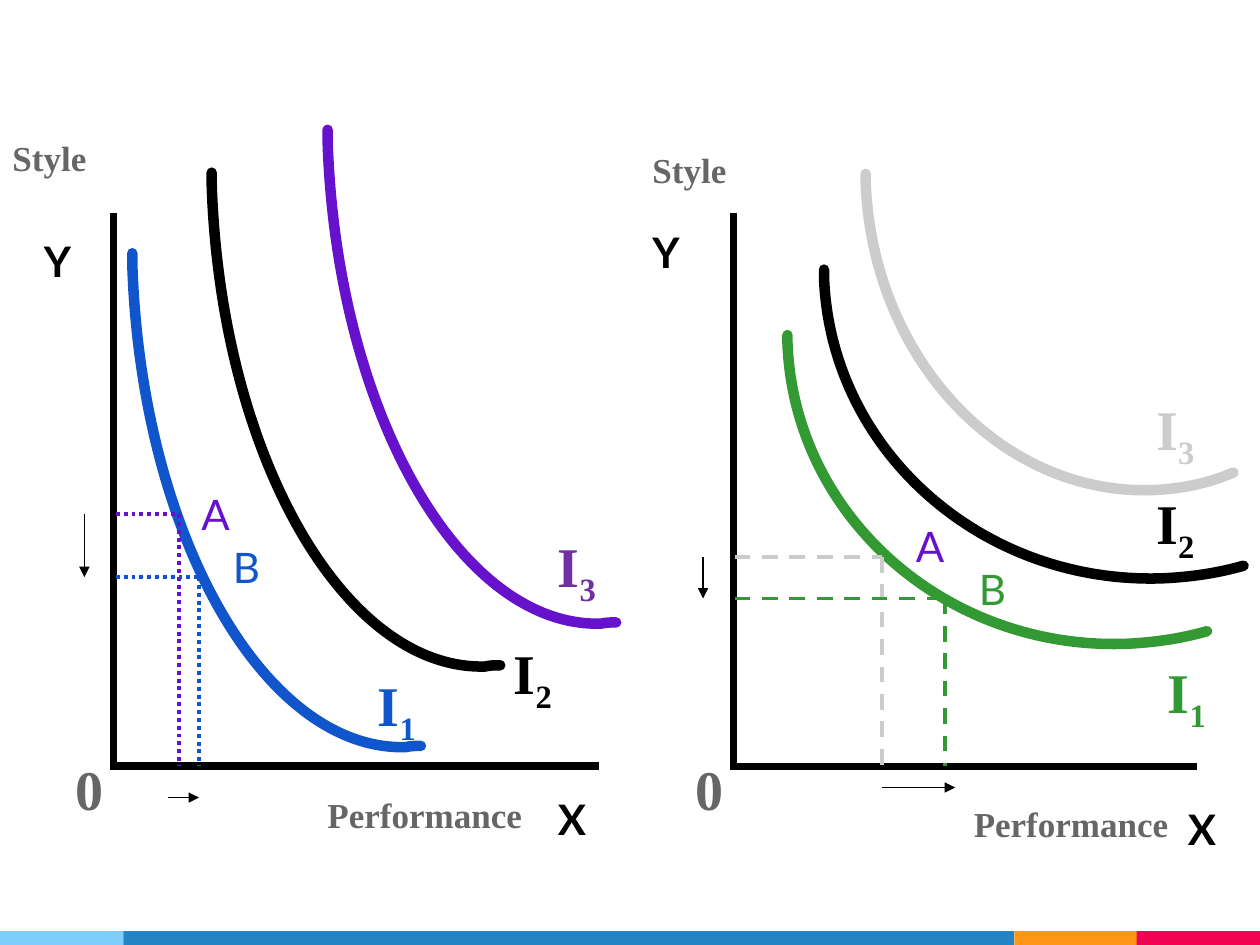
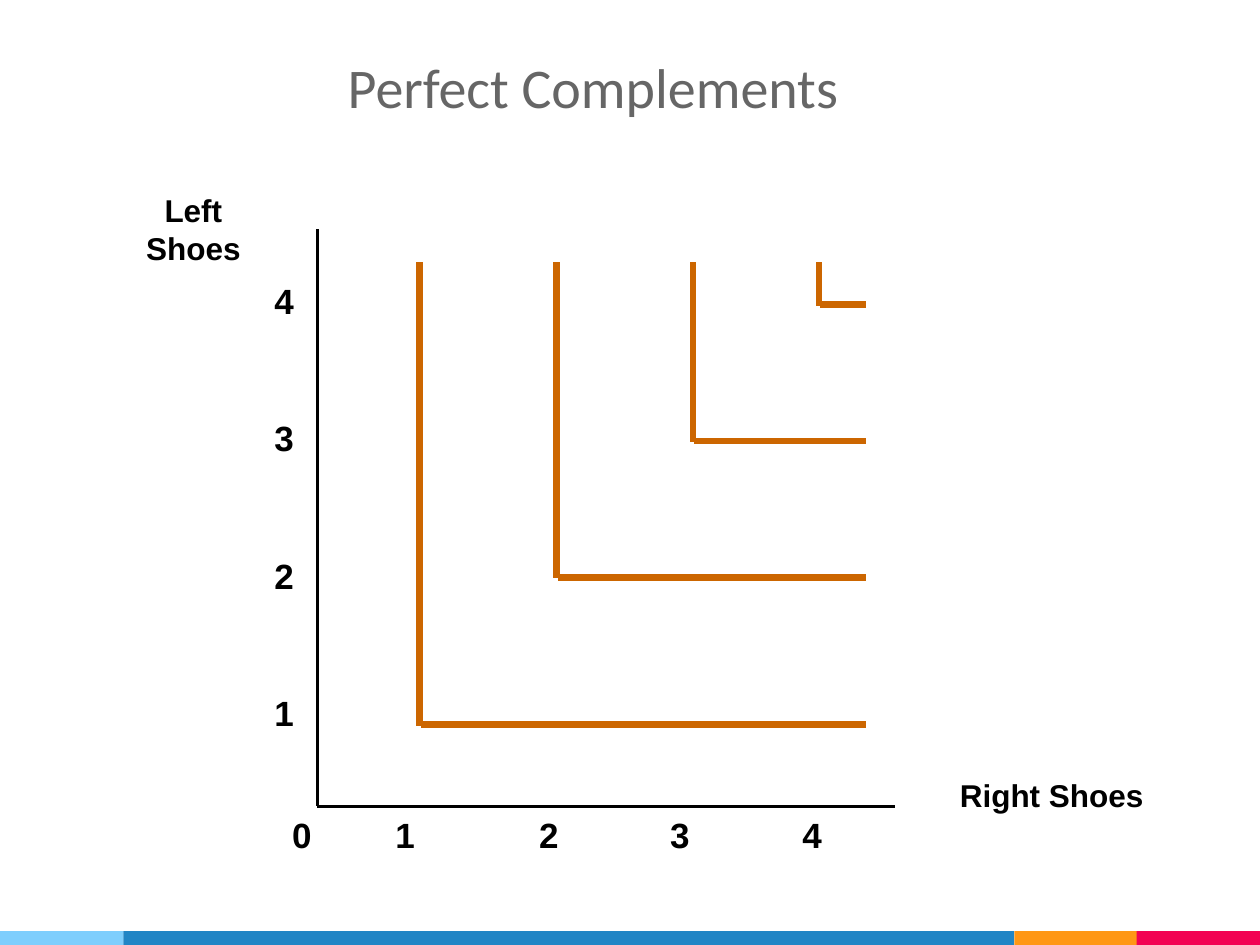
from lxml.etree import SubElement
from pptx import Presentation
from pptx.dml.color import RGBColor
from pptx.enum.dml import MSO_LINE_DASH_STYLE as Dash
from pptx.enum.shapes import MSO_CONNECTOR as Connector, MSO_SHAPE as Shape
from pptx.enum.text import MSO_ANCHOR as Anchor, MSO_AUTO_SIZE as AutoSize, PP_ALIGN as Align
from pptx.oxml.ns import qn
from pptx.util import Inches, Pt

COLORS = {
    "black": "000000", "gray": "666666", "silver": "CCCCCC",
    "blue": "1155CC", "purple": "6611CC", "violet": "7030A0",
    "green": "339933", "brown": "CC6600",
    "band_sky": "7ECEFD", "band_blue": "2185C5",
    "band_orange": "FF9715", "band_red": "F20253",
}
RGB = {name: RGBColor.from_string(value) for name, value in COLORS.items()}
SERIF = "Times New Roman"


def add_text(slide, text, left, top, width, height, size=24, color="black", font="Lato",
             bold=True, subscript="", anchor=Anchor.TOP, align=Align.LEFT, wrap=True, box=None):
    box = box or slide.shapes.add_textbox(0, 0, 0, 0)
    box.left, box.top, box.width, box.height = map(Inches, (left, top, width, height))
    frame = box.text_frame
    frame.word_wrap = wrap
    frame.auto_size = AutoSize.NONE
    frame.vertical_anchor = anchor
    frame.text = text
    if subscript:
        run = frame.paragraphs[0].add_run()
        run.text = subscript
        run._r.get_or_add_rPr().set("baseline", "-25000")
    for paragraph in frame.paragraphs:
        paragraph.alignment = align
        for run in paragraph.runs:
            run.font.name = font
            run.font.size = Pt(size)
            run.font.bold = bold
            run.font.color.rgb = RGB[color]


def add_line(shapes, start, end, color="black", width=4, dash=None, arrow=False):
    line = shapes.add_connector(Connector.STRAIGHT, *map(Inches, (*start, *end)))
    line.line.color.rgb = RGB[color]
    line.line.width = Pt(width)
    if dash:
        line.line.dash_style = dash
    if arrow:
        SubElement(line.element.find(".//" + qn("a:ln")), qn("a:tailEnd"), type="triangle")
    SubElement(line.element.spPr, qn("a:effectLst"))


presentation = Presentation()
presentation.slide_width = Inches(10)
presentation.slide_height = Inches(7.5)
curves_slide = presentation.slides.add_slide(presentation.slide_layouts[6])
shoes_slide = presentation.slides.add_slide(presentation.slide_layouts[5])

master_tree = presentation.slide_master.element.find(".//" + qn("p:spTree"))
bands = [("band_sky", 0, 0.98), ("band_blue", 0.98, 7.07),
         ("band_orange", 8.05, 0.98), ("band_red", 9.02, 0.98)]
for number, (color, left, width) in enumerate(bands, 101):
    band = curves_slide.shapes.add_shape(
        Shape.RECTANGLE, Inches(left), Inches(7.39), Inches(width), Inches(0.11))
    band.shadow.inherit = False
    band.fill.solid()
    band.fill.fore_color.rgb = RGB[color]
    band.line.fill.background()
    band.element.find(".//" + qn("p:cNvPr")).set("id", str(number))
    master_tree.append(band.element)

steep_curve = [(3.34, 5.92), (3.3, 5.92), (3.26, 5.92), (3.22, 5.93), (2.1, 5.96),
               (1.12, 4.25), (1.05, 2.1), (1.05, 2.07), (1.05, 2.04), (1.05, 2.01)]
flat_curve = [(9.58, 5.01), (9.37, 5.07), (9.16, 5.1), (8.94, 5.11), (7.5, 5.16),
              (6.3, 4.09), (6.25, 2.72), (6.25, 2.7), (6.25, 2.68), (6.25, 2.66)]
upper_curve = [(9.79, 3.75), (9.58, 3.84), (9.37, 3.88), (9.15, 3.89), (7.94, 3.93),
               (6.92, 2.84), (6.87, 1.44), (6.87, 1.42), (6.87, 1.4), (6.87, 1.38)]
curves = [
    (steep_curve, 0, 0, "blue"), (steep_curve, 0.63, -0.64, "black"),
    (steep_curve, 1.55, -0.98, "purple"),
    (flat_curve, 0, 0, "green"), (flat_curve, 0.29, -0.52, "black"),
    (upper_curve, 0, 0, "silver"),
]
for points, shift_x, shift_y, color in curves:
    placed = [(Inches(x + shift_x), Inches(y + shift_y)) for x, y in points]
    builder = curves_slide.shapes.build_freeform(*placed[0])
    builder.add_line_segments(placed[1:], close=False)
    curve = builder.convert_to_shape()
    curve.shadow.inherit = False
    curve.fill.background()
    curve.line.color.rgb = RGB[color]
    curve.line.width = Pt(6)
    curve.element.find(".//" + qn("a:ln")).set("cap", "rnd")
    path = curve.element.find(".//" + qn("a:path"))
    segments = path.findall(qn("a:lnTo"))
    for first in range(0, len(segments), 3):
        bezier = SubElement(path, qn("a:cubicBezTo"))
        for segment in segments[first:first + 3]:
            bezier.append(segment[0])
            path.remove(segment)

base_y = 6.08
for axis_x, right, width in [(0.9, 4.75, 4.5), (5.82, 9.5, 4)]:
    add_line(curves_slide.shapes, (axis_x, 1.69), (axis_x, 6.11))
    add_line(curves_slide.shapes, (axis_x + 0.02, base_y), (right, base_y), width=width)
    add_text(curves_slide, "0", axis_x - 0.4, 6, 0.33, 0.57, size=32, color="gray",
             font=SERIF, anchor=Anchor.BOTTOM)

guides = [
    (0.92, 1.42, 4.08, "purple", Dash.ROUND_DOT), (0.92, 1.58, 4.58, "blue", Dash.ROUND_DOT),
    (5.83, 7, 4.42, "silver", Dash.DASH), (5.83, 7.5, 4.75, "green", Dash.DASH),
]
for axis_x, x, y, color, dash in guides:
    add_line(curves_slide.shapes, (axis_x, y), (x, y), color, 2.25, dash)
    add_line(curves_slide.shapes, (x, y), (x, base_y), color, 2.25, dash)

arrows = [((0.67, 4.08), (0.67, 4.58)), ((1.33, 6.33), (1.58, 6.33)),
          ((5.58, 4.42), (5.58, 4.75)), ((7, 6.25), (7.58, 6.25))]
for start, end in arrows:
    add_line(curves_slide.shapes, start, end, width=0.75, arrow=True)

axis_titles = [
    ("Performance", 2.5, 6.58, 1.75, 0.08), ("Style", 0, 0.83, 1.58, 0.64),
    ("Performance", 7.63, 6.11, 2.12, 0.64), ("Style", 5.08, 0.92, 1.58, 0.64),
]
for title in axis_titles:
    add_text(curves_slide, *title, size=20, color="gray", font=SERIF, anchor=Anchor.BOTTOM)

for text, left, top in [("Y", 0.25, 1.82), ("X", 4.33, 6.25),
                        ("Y", 5.08, 1.75), ("X", 9.33, 6.33)]:
    add_text(curves_slide, text, left, top, 0.6, 0.5)

point_labels = [("A", 1.5, 3.83, "purple"), ("B", 1.75, 4.25, "blue"),
                ("A", 7.17, 4.08, "purple"), ("B", 7.67, 4.42, "green")]
for text, left, top, color in point_labels:
    add_text(curves_slide, text, left, top, 0.5, 0.5, color=color, bold=False)

curve_labels = [
    ("1", 2.9, 5.27, "blue"), ("2", 3.98, 5.02, "black"), ("3", 4.33, 4.17, "violet"),
    ("1", 9.17, 5.17, "green"), ("2", 9.08, 3.83, "black"), ("3", 9.08, 3.08, "silver"),
]
for subscript, left, top, color in curve_labels:
    add_text(curves_slide, "I", left, top, 0.67, 0.63, size=32, color=color, font=SERIF,
             subscript=subscript)

add_text(shoes_slide, "Perfect Complements", 2.66, 0.37, 5.48, 0.64, size=32, color="gray",
         font="Calibri", bold=False, box=shoes_slide.shapes.title)

indifference_group = shoes_slide.shapes.add_group_shape()
for x, y in [(3.33, 5.75), (4.42, 4.58), (5.5, 3.5), (6.5, 2.42)]:
    add_line(indifference_group.shapes, (x, 2.08), (x, y + 0.01), "brown")
    add_line(indifference_group.shapes, (x + 0.01, y), (6.87, y), "brown")

origin = (2.52, 6.4)
add_line(shoes_slide.shapes, (2.52, 1.82), origin, width=2)
add_line(shoes_slide.shapes, origin, (7.1, 6.4), width=2)
add_text(shoes_slide, "Right Shoes", 7.52, 6.11, 1.66, 0.4, size=18, font="Arial", wrap=False)
add_text(shoes_slide, "Left\nShoes", 1.06, 1.47, 0.95, 0.7, size=18, font="Arial",
         align=Align.CENTER, wrap=False)

ticks = [(number, left, 6.41) for number, left in enumerate([2.22, 3.04, 4.18, 5.22, 6.27])]
ticks += [(number, 2.08, 6.53 - 1.09 * number) for number in range(1, 5)]
for number, left, top in ticks:
    add_text(shoes_slide, str(number), left, top, 0.35, 0.43, size=20, font="Arial", wrap=False)

presentation.save("out.pptx")
